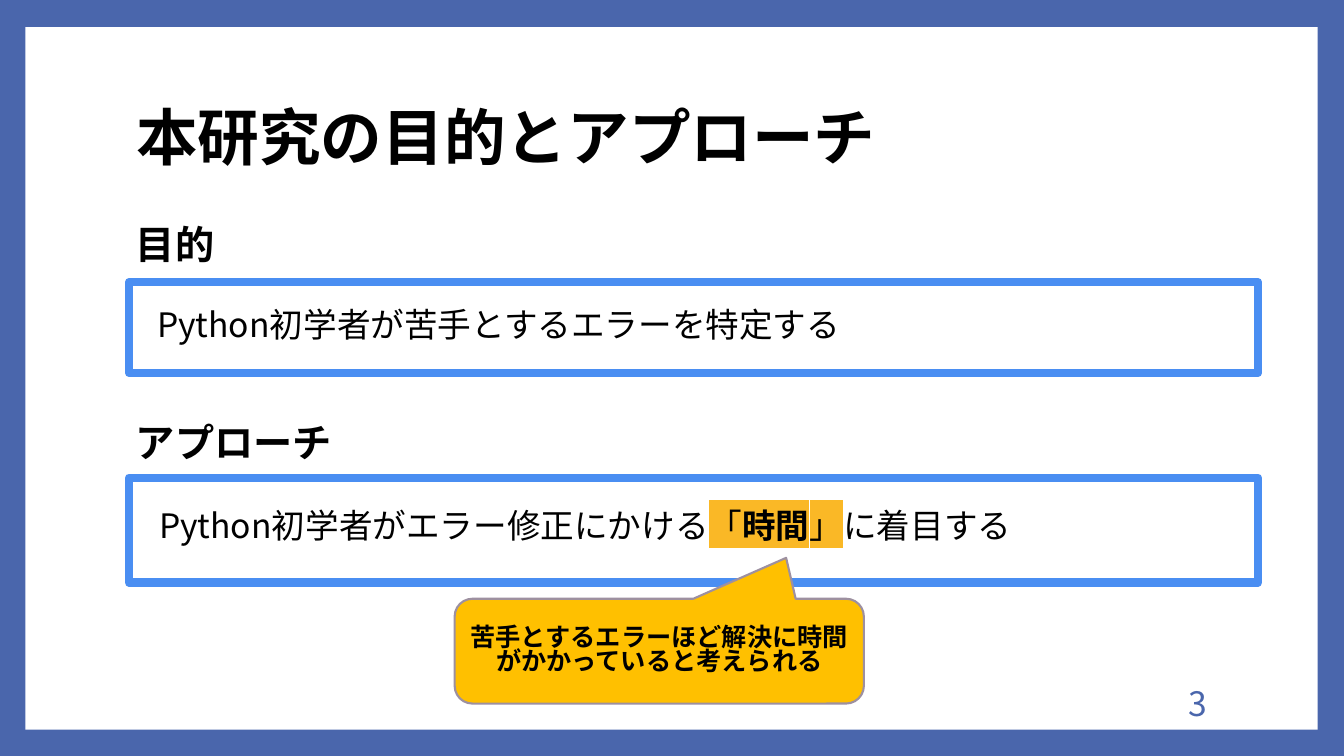
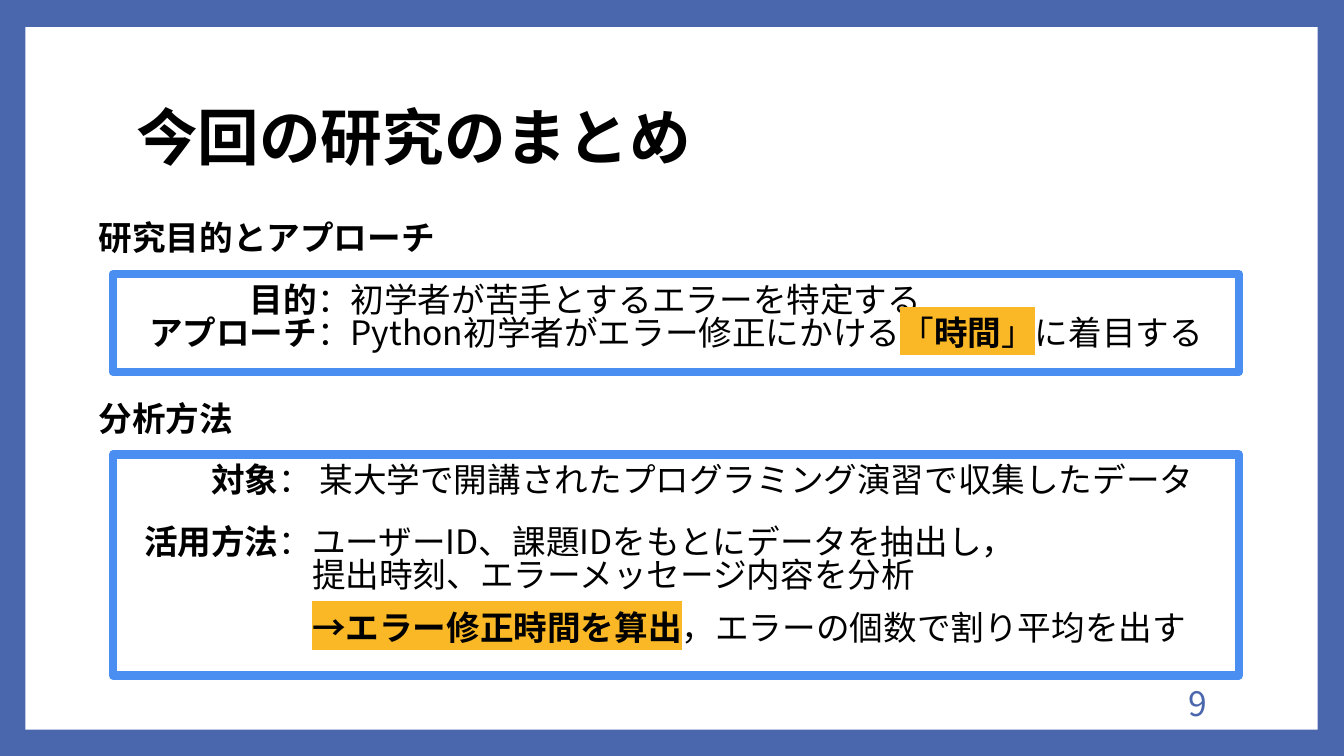
from dataclasses import dataclass

from lxml import etree
from pptx import Presentation
from pptx.dml.color import RGBColor
from pptx.enum.shapes import MSO_SHAPE
from pptx.enum.text import MSO_ANCHOR, MSO_AUTO_SIZE, PP_ALIGN
from pptx.oxml.ns import qn
from pptx.util import Inches, Pt

RECTANGLE = MSO_SHAPE.RECTANGLE
CALLOUT = MSO_SHAPE.ROUNDED_RECTANGULAR_CALLOUT
MIDDLE, TOP = MSO_ANCHOR.MIDDLE, MSO_ANCHOR.TOP
LEFT, CENTER, RIGHT = PP_ALIGN.LEFT, PP_ALIGN.CENTER, PP_ALIGN.RIGHT
FIXED, GROW = MSO_AUTO_SIZE.NONE, MSO_AUTO_SIZE.SHAPE_TO_FIT_TEXT

SLIDE_WIDTH, SLIDE_HEIGHT = Inches(13.33), Inches(7.5)
FONT = "Noto Sans CJK JP"
LINE_SPACING = 0.82
BODY_SIZE = 24
TITLE_ONLY = 5
COLORS = {
    "border": "4A66AC",
    "paper": "FFFFFF",
    "text": "000000",
    "frame": "4A8EF2",
    "marker": "FAB826",
    "callout": "FFC000",
    "callout_line": "9D90A0",
}


@dataclass(frozen=True)
class Area:
    """A rectangle in percent of the slide's width and height."""
    left: float
    top: float
    width: float
    height: float

    def place(self, shape) -> None:
        shape.left, shape.top, shape.width, shape.height = self.lengths()

    def lengths(self) -> tuple[int, int, int, int]:
        return (int(SLIDE_WIDTH * self.left / 100), int(SLIDE_HEIGHT * self.top / 100),
                int(SLIDE_WIDTH * self.width / 100), int(SLIDE_HEIGHT * self.height / 100))


@dataclass(frozen=True)
class Span:
    text: str
    bold: bool = False
    marked: bool = False


@dataclass(frozen=True)
class Line:
    """A paragraph; indent counts full-width characters of body text."""
    spans: tuple[Span, ...]
    indent: float = 0


@dataclass(frozen=True)
class TextBlock:
    area: Area
    lines: tuple[Line, ...]


@dataclass(frozen=True)
class Section:
    heading: str
    heading_size: int
    heading_area: Area
    frame: Area
    blocks: tuple[TextBlock, ...]


@dataclass(frozen=True)
class Page:
    title: str
    number: int
    sections: tuple[Section, ...]


PAPER_AREA = Area(1.88, 3.6, 96.15, 92.93)
TITLE_AREA = Area(9.38, 8.93, 81, 19.73)
NUMBER_AREA = Area(76.5, 90.8, 14.03, 5.33)
CALLOUT_AREA = Area(33.83, 79.2, 30.45, 13.87)
CALLOUT_TEXT = "苦手とするエラーほど解決に時間がかかっていると考えられる"

TIME_FOCUS = (
    Span("Python初学者がエラー修正にかける"),
    Span("「", marked=True),
    Span("時間", bold=True, marked=True),
    Span("」", marked=True),
    Span("に着目する"),
)

PURPOSE_PAGE = Page("本研究の目的とアプローチ", 3, (
    Section("目的", 28, Area(9.38, 29.6, 60, 7.6), Area(9.6, 37.33, 84, 12), (
        TextBlock(Area(10.95, 40.53, 81, 6.67),
                  (Line((Span("Python初学者が苦手とするエラーを特定する"),)),)),
    )),
    Section("アプローチ", 28, Area(9.38, 55.73, 60, 7.6), Area(9.6, 63.2, 84, 13.87), (
        TextBlock(Area(11.1, 67.07, 81, 6.67), (Line(TIME_FOCUS),)),
    )),
))

SUMMARY_PAGE = Page("今回の研究のまとめ", 9, (
    Section("研究目的とアプローチ", 24, Area(6.6, 28.93, 37, 8.13),
            Area(8.4, 36.27, 83.78, 12.93), (
        TextBlock(Area(9.98, 37.2, 82.2, 12.13), (
            Line((Span("目的", bold=True), Span("：初学者が苦手とするエラーを特定する")), 3.15),
            Line((Span("アプローチ", bold=True), Span("：")) + TIME_FOCUS, 0.15),
        )),
    )),
    Section("分析方法", 24, Area(6.6, 52.93, 16.65, 8.27), Area(8.4, 60.13, 83.78, 29.2), (
        TextBlock(Area(9.98, 60.93, 85.5, 6.67), (
            Line((Span("対象", bold=True),
                  Span("： 某大学で開講されたプログラミング演習で収集したデータ")), 2),
        )),
        TextBlock(Area(9.98, 69.2, 78.3, 12.13), (
            Line((Span("活用方法", bold=True),
                  Span("：ユーザーID、課題IDをもとにデータを抽出し，"))),
            Line((Span("提出時刻、エラーメッセージ内容を分析"),), 5),
        )),
        TextBlock(Area(9.98, 80.53, 80, 6.67), (
            Line((Span("→エラー修正時間を算出", bold=True, marked=True),
                  Span("，エラーの個数で割り平均を出す")), 5),
        )),
    )),
))


def rgb(name: str) -> RGBColor:
    return RGBColor.from_string(COLORS[name])


def add_span(para, span: Span, size: float, color: str) -> None:
    run = para.add_run()
    run.text = span.text
    font = run.font
    font.name, font.size, font.bold = FONT, Pt(size), span.bold
    font.color.rgb = rgb(color)
    latin = run._r.get_or_add_rPr().find(qn("a:latin"))
    east_asian = etree.Element(qn("a:ea"))
    east_asian.set("typeface", FONT)
    latin.addnext(east_asian)
    if span.marked:
        highlight = etree.Element(qn("a:highlight"))
        etree.SubElement(highlight, qn("a:srgbClr")).set("val", COLORS["marker"])
        latin.addprevious(highlight)


def write(shape, lines: tuple[Line, ...], size: float = BODY_SIZE, color: str = "text",
          align=LEFT, anchor=TOP, fit=GROW) -> None:
    frame = shape.text_frame
    frame.word_wrap = True
    frame.auto_size = fit
    frame.vertical_anchor = anchor
    for index, line in enumerate(lines):
        para = frame.paragraphs[0] if index == 0 else frame.add_paragraph()
        para.alignment = align
        para.line_spacing = LINE_SPACING
        if line.indent:
            properties = para._p.get_or_add_pPr()
            properties.set("marL", str(int(Pt(BODY_SIZE) * line.indent)))
            properties.set("indent", "0")
        for span in line.spans:
            add_span(para, span, size, color)


def plain(text: str, bold: bool = False) -> tuple[Line, ...]:
    """Wrap one string as a single paragraph."""
    return (Line((Span(text, bold),)),)


def add_box(slide, kind, area: Area, fill: str, line: str = "", width: float = 0):
    box = slide.shapes.add_shape(kind, *area.lengths())
    box.shadow.inherit = False
    box.fill.solid()
    box.fill.fore_color.rgb = rgb(fill)
    if line:
        box.line.color.rgb = rgb(line)
        box.line.width = Pt(width)
    else:
        box.line.fill.background()
    return box


def add_text(slide, area: Area, lines: tuple[Line, ...], **style) -> None:
    write(slide.shapes.add_textbox(*area.lengths()), lines, **style)


def style_layout(layout, slide) -> None:
    """Give the layout its border and white panel, drawn first on a slide."""
    layout.background.fill.solid()
    layout.background.fill.fore_color.rgb = rgb("border")
    paper = add_box(slide, RECTANGLE, PAPER_AREA, "paper")
    layout.shapes._spTree.insert(2, paper._element)


def add_section(slide, section: Section) -> None:
    add_box(slide, RECTANGLE, section.frame, "paper", "frame", 6)
    add_text(slide, section.heading_area, plain(section.heading, True),
             size=section.heading_size)
    for block in section.blocks:
        add_text(slide, block.area, block.lines)


def fill_page(slide, page: Page) -> None:
    title = slide.shapes.title
    TITLE_AREA.place(title)
    write(title, plain(page.title, True), size=44, anchor=MIDDLE, fit=FIXED)
    add_text(slide, NUMBER_AREA, plain(str(page.number)), color="border",
             align=RIGHT, anchor=MIDDLE, fit=FIXED)
    for section in page.sections:
        add_section(slide, section)


def add_callout(slide) -> None:
    callout = add_box(slide, CALLOUT, CALLOUT_AREA, "callout", "callout_line", 1.5)
    for index, value in enumerate((0.31, -0.89, 0.17)):
        callout.adjustments[index] = value
    callout.text_frame.margin_left = callout.text_frame.margin_right = Inches(0.08)
    write(callout, plain(CALLOUT_TEXT, True), size=18, align=CENTER,
          anchor=MIDDLE, fit=FIXED)


def main() -> None:
    deck = Presentation()
    deck.slide_width, deck.slide_height = SLIDE_WIDTH, SLIDE_HEIGHT
    layout = deck.slide_layouts[TITLE_ONLY]
    purpose, summary = (deck.slides.add_slide(layout) for _ in range(2))
    style_layout(layout, purpose)
    fill_page(purpose, PURPOSE_PAGE)
    add_callout(purpose)
    fill_page(summary, SUMMARY_PAGE)
    deck.save("out.pptx")


if __name__ == "__main__":
    main()
